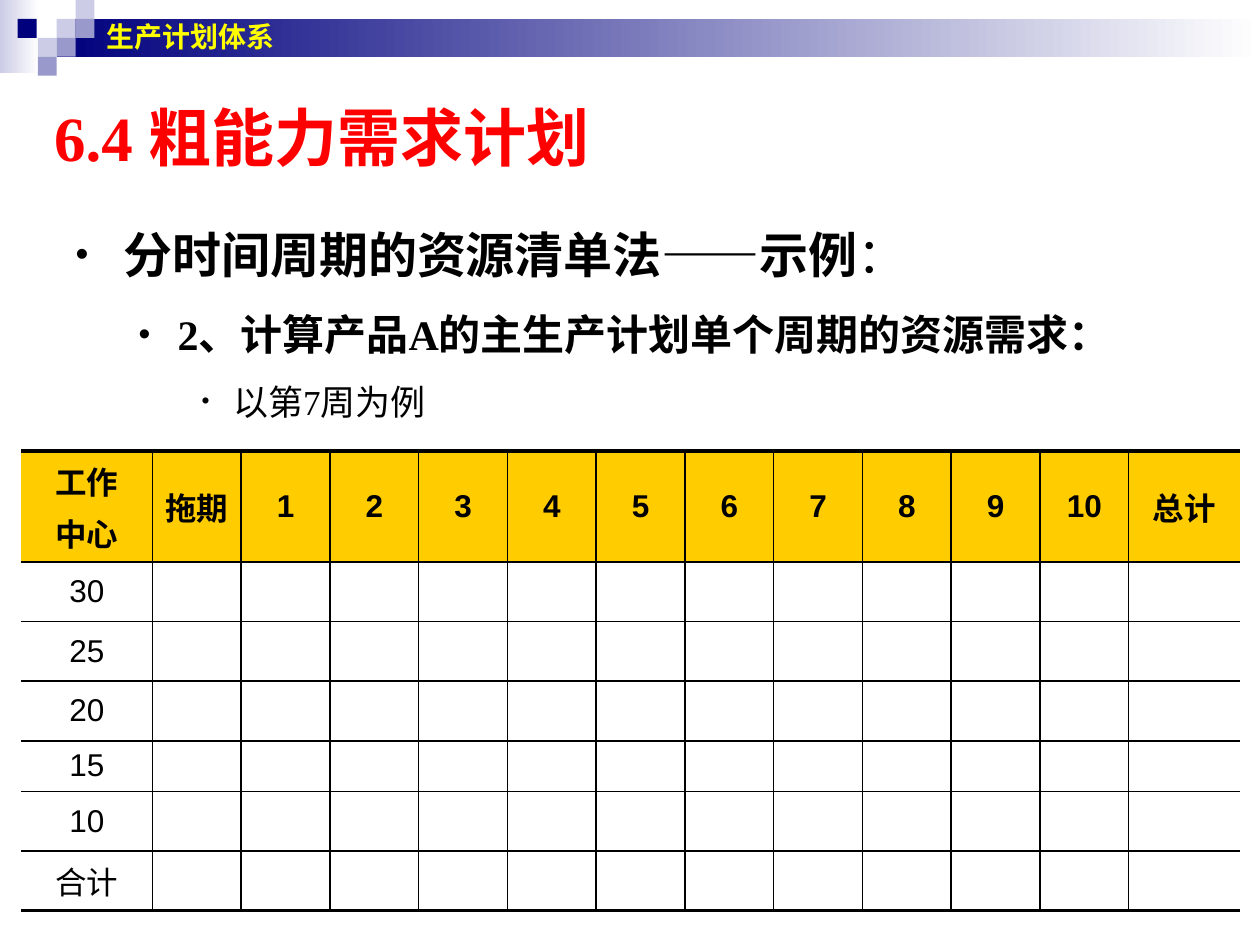
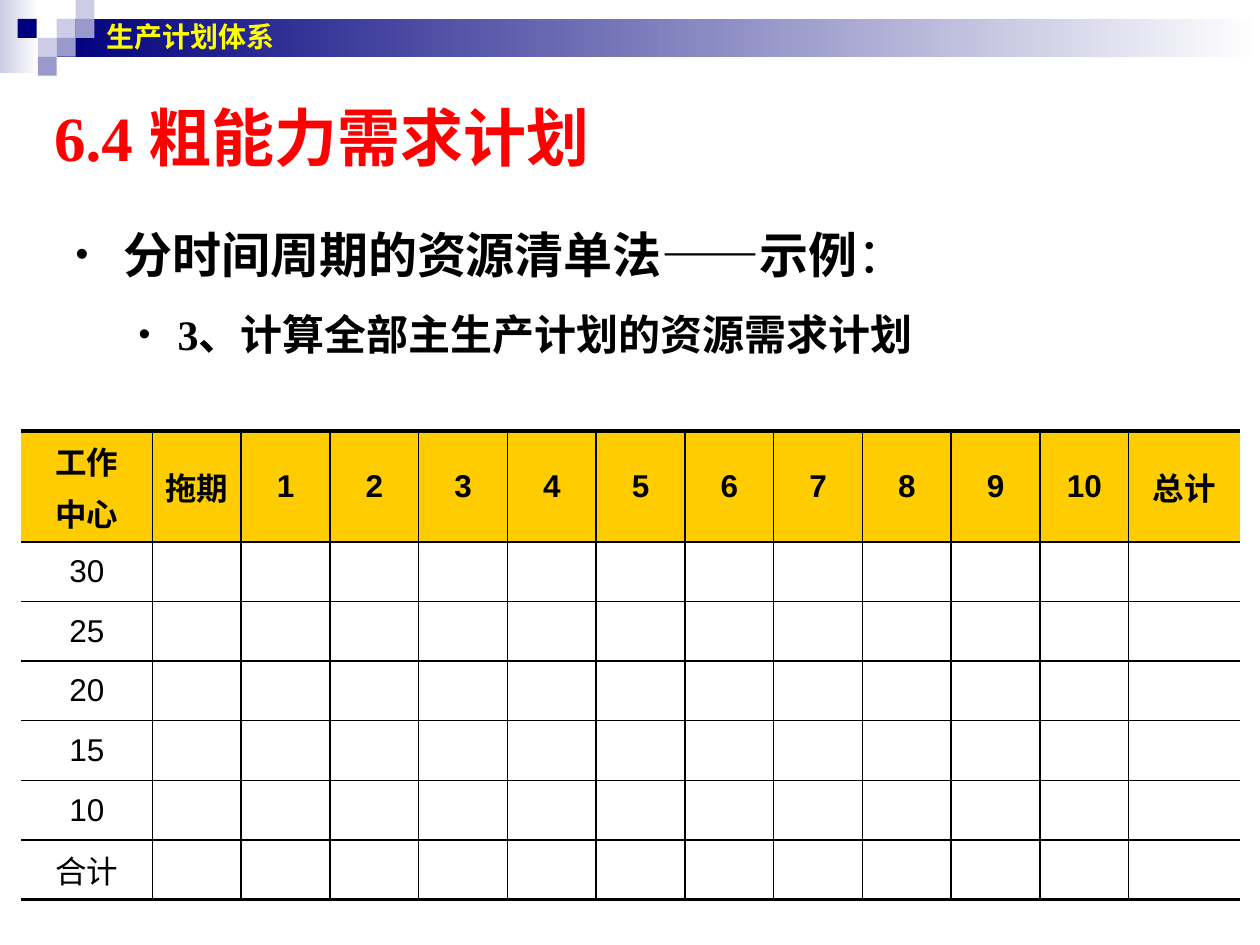
from lxml import etree
from pptx import Presentation
from pptx.dml.color import RGBColor
from pptx.enum import shapes, text
from pptx.oxml import ns
from pptx.util import Inches, Pt

HUE = {"navy": "00007D", "pale": "CCCCE6", "mid": "9999CC", "white": "FFFFFF",
       "red": "FF0000", "yellow": "FFFF00", "gold": "FFCC00", "black": "000000"}
SERIF, SANS = "Times New Roman", "Arial"
PLAIN = "{2D5ABB26-0587-4C30-8999-92F81FD0307C}"

# Squares of the corner mosaic: left, top, colour
TILES = [(0.45, 0.15, "pale"), (0.6, 0, "pale"), (0.6, 0.15, "mid"),
         (0.3, 0.3, "pale"), (0.14, 0.15, "navy"), (0.45, 0.3, "mid"),
         (0.3, 0.45, "mid")]

# List levels: left margin, hanging indent, bullet percent, size
LEVELS = [(0.38, 0.38, 75, 28), (0.81, 0.31, 80, 24), (1.25, 0.25, 65, 20)]

HEADS = ["工作\n中心", "拖期", *map(str, range(1, 11)), "总计"]
ROWS = ["30", "25", "20", "15", "10", "合计"]
HEAD = 0.88  # header row height, room for two lines
TOPIC = [(0, "分时间周期的资源清单法——示例", True), (0, "：", False)]


def rgb(key):
    return RGBColor.from_string(HUE[key])


def node(root, tag, **attrs):
    return etree.SubElement(root, ns.qn(tag), attrs)


def put(par, words, size=18, face=SANS, hue="black", bold=False):
    run = par.add_run()
    run.text = words
    font = run.font
    font.size, font.name, font.bold = Pt(size), face, bold
    font.color.rgb = rgb(hue)


def place(item, *box):
    item.left, item.top, item.width, item.height = map(Inches, box)


def block(slide, box, hue, fade=False):
    item = slide.shapes.add_shape(shapes.MSO_SHAPE.RECTANGLE, *map(Inches, box))
    item.shadow.inherit = False
    item.line.fill.background()
    if fade:
        item.fill.gradient()
        item.fill.gradient_angle = 0
        for stop, key in zip(item.fill.gradient_stops, (hue, "white")):
            stop.color.rgb = rgb(key)
    else:
        item.fill.solid()
        item.fill.fore_color.rgb = rgb(hue)


def band(slide):
    block(slide, (0, 0, 0.31, 0.58), "pale", fade=True)
    block(slide, (0.45, 0.15, 9.55, 0.3), "navy", fade=True)
    for left, top, hue in TILES:
        block(slide, (left, top, 0.15, 0.15), hue)
    box = slide.shapes.add_textbox(*map(Inches, (0.75, 0, 8.83, 0.58)))
    frame = box.text_frame
    frame.word_wrap = True
    frame.vertical_anchor = text.MSO_ANCHOR.MIDDLE
    put(frame.paragraphs[0], "生产计划体系", size=16, hue="yellow", bold=True)


def title(slide):
    item = slide.shapes.title
    place(item, 0.33, 0.75, 9, 0.67)
    frame = item.text_frame
    frame.auto_size = text.MSO_AUTO_SIZE.NONE
    frame.vertical_anchor = text.MSO_ANCHOR.MIDDLE
    par = frame.paragraphs[0]
    par.alignment = text.PP_ALIGN.LEFT
    put(par, "6.4 粗能力需求计划", size=36, face=SERIF, hue="red", bold=True)


def bullet(par, level):
    left, hang, share = LEVELS[level][:3]
    par.level = level
    props = par._p.get_or_add_pPr()
    props.set("marL", str(Inches(left)))
    props.set("indent", str(-Inches(hang)))
    node(node(props, "a:buClr"), "a:srgbClr", val=HUE["black"])
    node(props, "a:buSzPct", val=str(share * 1000))
    node(props, "a:buChar", char="•")
    par.line_spacing = 1.5
    par.space_before = Pt(0)


def points(slide, high, items):
    """Fill the body; a run on the same level continues its paragraph."""
    item = slide.placeholders[1]
    place(item, 0.5, 1.5, 9.17, high)
    frame = item.text_frame
    frame.auto_size = text.MSO_AUTO_SIZE.NONE
    last = None
    for level, words, bold in items:
        if level != last:
            par = frame.paragraphs[0] if last is None else frame.add_paragraph()
            bullet(par, level)
            last = level
        put(par, words, size=LEVELS[level][3], face=SERIF, bold=bold)


def edge(cell, side, width):
    line = node(cell._tc.get_or_add_tcPr(), "a:ln" + side, w=str(Pt(width)))
    if width:
        node(node(line, "a:solidFill"), "a:srgbClr", val=HUE["black"])
    else:
        node(line, "a:noFill")


def fill(cell, words, head):
    cell.margin_left = cell.margin_right = Inches(0.04)
    cell.margin_top = cell.margin_bottom = Inches(0.05)
    cell.vertical_anchor = text.MSO_ANCHOR.MIDDLE
    if head:
        cell.fill.solid()
        cell.fill.fore_color.rgb = rgb("gold")
    else:
        cell.fill.background()
    frame = cell.text_frame
    for i, line in enumerate(words.split("\n")):
        par = frame.add_paragraph() if i else frame.paragraphs[0]
        par.alignment = text.PP_ALIGN.CENTER
        par.space_before = Pt(3.6 if i else 0)
        if line:
            put(par, line, bold=head)
        else:
            par.font.size = Pt(18)


def grid(slide, top, highs):
    wide, first, final = 9.67, 1.04, 0.88
    rows, cols = len(highs), len(HEADS)
    box = map(Inches, (0.17, top, wide, sum(highs)))
    table = slide.shapes.add_table(rows, cols, *box).table
    table.first_row = table.horz_banding = False
    table._tbl.tblPr.find(ns.qn("a:tableStyleId")).text = PLAIN
    inner = (wide - first - final) / (cols - 2)
    for col, width in zip(table.columns, [first] + [inner] * (cols - 2) + [final]):
        col.width = Inches(width)
    for row, high in zip(table.rows, highs):
        row.height = Inches(high)
    for r in range(rows):
        for c in range(cols):
            cell = table.cell(r, c)
            # Open sides, heavy rules at top and bottom
            edge(cell, "L", 1 if c else 0)
            edge(cell, "R", 1 if c < cols - 1 else 0)
            edge(cell, "T", 1 if r else 2.25)
            edge(cell, "B", 1 if r < rows - 1 else 2.25)
            words = HEADS[c] if r == 0 else "" if c else ROWS[r - 1]
            fill(cell, words, head=r == 0)


def page(deck, high, items, top, highs):
    slide = deck.slides.add_slide(deck.slide_layouts[1])
    title(slide)
    points(slide, high, TOPIC + items)
    band(slide)
    grid(slide, top, [HEAD] + highs)


def main():
    deck = Presentation()
    deck.slide_width, deck.slide_height = Inches(10), Inches(7.5)
    step = 2.84 / len(ROWS)
    # Resource need of one period
    page(deck, 2, [(1, "2、计算产品A的主生产计划单个周期的资源需求：", True),
                   (2, "以第7周为例", False)],
         3.58, [step] * 3 + [0.4] + [step] * 2)
    # Resource need of the whole schedule
    page(deck, 1.42, [(1, "3、计算全部主生产计划的资源需求计划", True)],
         3.42, [step] * len(ROWS))
    deck.save("out.pptx")


if __name__ == "__main__":
    main()
